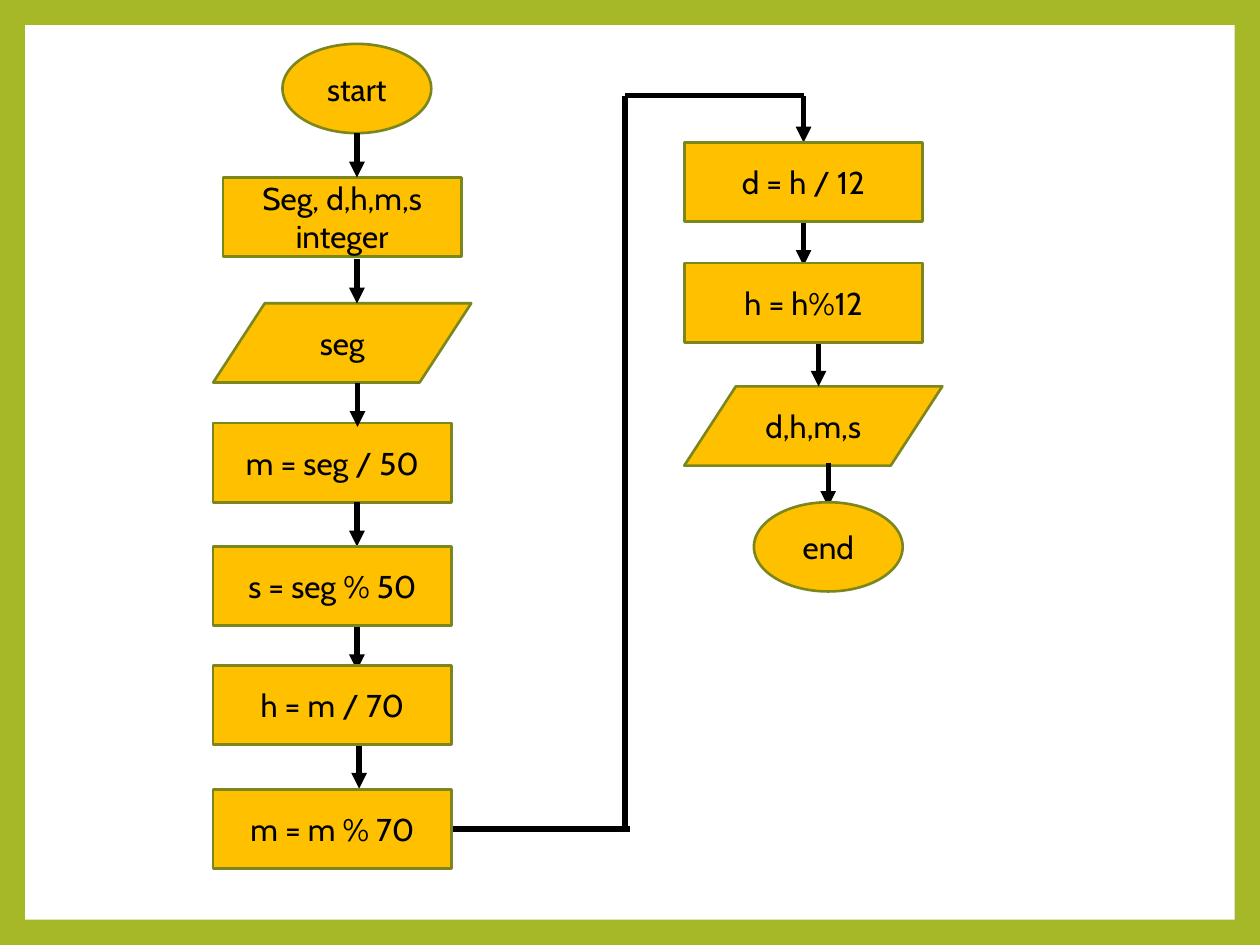
from dataclasses import dataclass

from lxml import etree
from pptx import Presentation
from pptx import util as u
from pptx.dml.color import RGBColor
from pptx.enum import shapes, text
from pptx.oxml.ns import qn

COLORS = {"frame": "A6B727", "panel": "FFFFFF", "step": "FFC000",
          "outline": "7B871D", "ink": "000000"}
FONT = "Cabin"
SLIDE_W, SLIDE_H, MARGIN = 720, 540, 14.4

SHAPE = shapes.MSO_SHAPE
TERMINAL, PROCESS, DATA = (SHAPE.OVAL, SHAPE.FLOWCHART_PROCESS,
                           SHAPE.FLOWCHART_DATA)
SIZES = {TERMINAL: (85, 51), PROCESS: (136.2, 45.3), DATA: (147.5, 45.3)}
LEFT_COLUMN, RIGHT_COLUMN = 121.8, 391
ARROW_LENGTH = 25.2


@dataclass(frozen=True)
class Step:
    """One flowchart symbol: kind, top-left corner and label."""
    kind: SHAPE
    left: float
    top: float
    label: str


@dataclass(frozen=True)
class Link:
    """A straight line between two points, with or without an arrowhead."""
    x1: float
    y1: float
    x2: float
    y2: float
    arrow: bool = False


# Steps below the links
LOWER_STEPS = [
    Step(TERMINAL, 161.4, 25.1, "start"),
    Step(DATA, LEFT_COLUMN, 173.3, "seg"),
    Step(PROCESS, LEFT_COLUMN, 241.8, "m = seg / 50"),
    Step(PROCESS, 127.4, 101.4, "Seg, d,h,m,s integer"),
    Step(DATA, RIGHT_COLUMN, 220.8, "d,h,m,s"),
]
# Steps that cover the arrow tips
UPPER_STEPS = [
    Step(PROCESS, LEFT_COLUMN, 312.3, "s = seg % 50"),
    Step(PROCESS, LEFT_COLUMN, 380.2, "h = m / 70"),
    Step(PROCESS, LEFT_COLUMN, 451, "m = m % 70"),
    Step(PROCESS, RIGHT_COLUMN, 81.4, "d = h / 12"),
    Step(PROCESS, RIGHT_COLUMN, 150.4, "h = h%12"),
    Step(TERMINAL, 430.8, 287, "end"),
]

ARROW_STARTS = [
    (204, 76.2), (204, 148.2), (204.3, 218.7), (204, 287.1), (204, 357.8),
    (205.2, 425.5), (459.2, 126.7), (467.8, 195.7), (473.3, 264.4),
]
RISER_X, BOTTOM_Y, TOP_Y, ENTRY_X = 357.2, 473.8, 54.7, 459.2
LINKS = [Link(x, y, x, y + ARROW_LENGTH, True) for x, y in ARROW_STARTS] + [
    Link(258, BOTTOM_Y, 360, BOTTOM_Y),
    Link(RISER_X, BOTTOM_Y, RISER_X, TOP_Y),
    Link(RISER_X, TOP_Y, ENTRY_X, TOP_Y),
    Link(ENTRY_X, TOP_Y, ENTRY_X, 81.4, True),
]


def color(name: str) -> RGBColor:
    """Return a palette colour."""
    return RGBColor.from_string(COLORS[name])


def draw_panel(slide) -> None:
    """Draw the white panel inside the coloured frame."""
    panel = slide.shapes.add_shape(
        SHAPE.RECTANGLE, u.Pt(MARGIN), u.Pt(MARGIN),
        u.Pt(SLIDE_W - 2 * MARGIN), u.Pt(SLIDE_H - 2 * MARGIN))
    panel.shadow.inherit = False
    panel.fill.solid()
    panel.fill.fore_color.rgb = color("panel")
    panel.line.fill.background()


def draw_step(slide, step: Step) -> None:
    """Draw a flowchart symbol with its centred label."""
    width, height = SIZES[step.kind]
    symbol = slide.shapes.add_shape(step.kind, u.Pt(step.left), u.Pt(step.top),
                                    u.Pt(width), u.Pt(height))
    symbol.shadow.inherit = False
    symbol.fill.solid()
    symbol.fill.fore_color.rgb = color("step")
    symbol.line.color.rgb = color("outline")
    symbol.line.width = u.Pt(1.5)
    frame = symbol.text_frame
    frame.text = step.label
    frame.word_wrap = True
    frame.vertical_anchor = text.MSO_ANCHOR.MIDDLE
    label = frame.paragraphs[0]
    label.alignment = text.PP_ALIGN.CENTER
    font = label.runs[0].font
    font.name, font.size = FONT, u.Pt(18)
    font.color.rgb = color("ink")


def draw_link(slide, link: Link) -> None:
    """Draw a thick line, ending in a triangle if it is an arrow."""
    connector = slide.shapes.add_connector(
        shapes.MSO_CONNECTOR.STRAIGHT,
        u.Pt(link.x1), u.Pt(link.y1), u.Pt(link.x2), u.Pt(link.y2))
    connector.line.color.rgb = color("ink")
    connector.line.width = u.Pt(3)
    properties = connector.element.spPr
    if link.arrow:
        etree.SubElement(properties.find(qn("a:ln")), qn("a:tailEnd"),
                         type="triangle")
    etree.SubElement(properties, qn("a:effectLst"))


def main() -> None:
    """Build the flowchart slide."""
    deck = Presentation()
    deck.slide_width, deck.slide_height = u.Pt(SLIDE_W), u.Pt(SLIDE_H)
    slide = deck.slides.add_slide(deck.slide_layouts[6])
    slide.background.fill.solid()
    slide.background.fill.fore_color.rgb = color("frame")
    draw_panel(slide)
    for step in LOWER_STEPS:
        draw_step(slide, step)
    for link in LINKS:
        draw_link(slide, link)
    for step in UPPER_STEPS:
        draw_step(slide, step)
    deck.save("out.pptx")


main()
